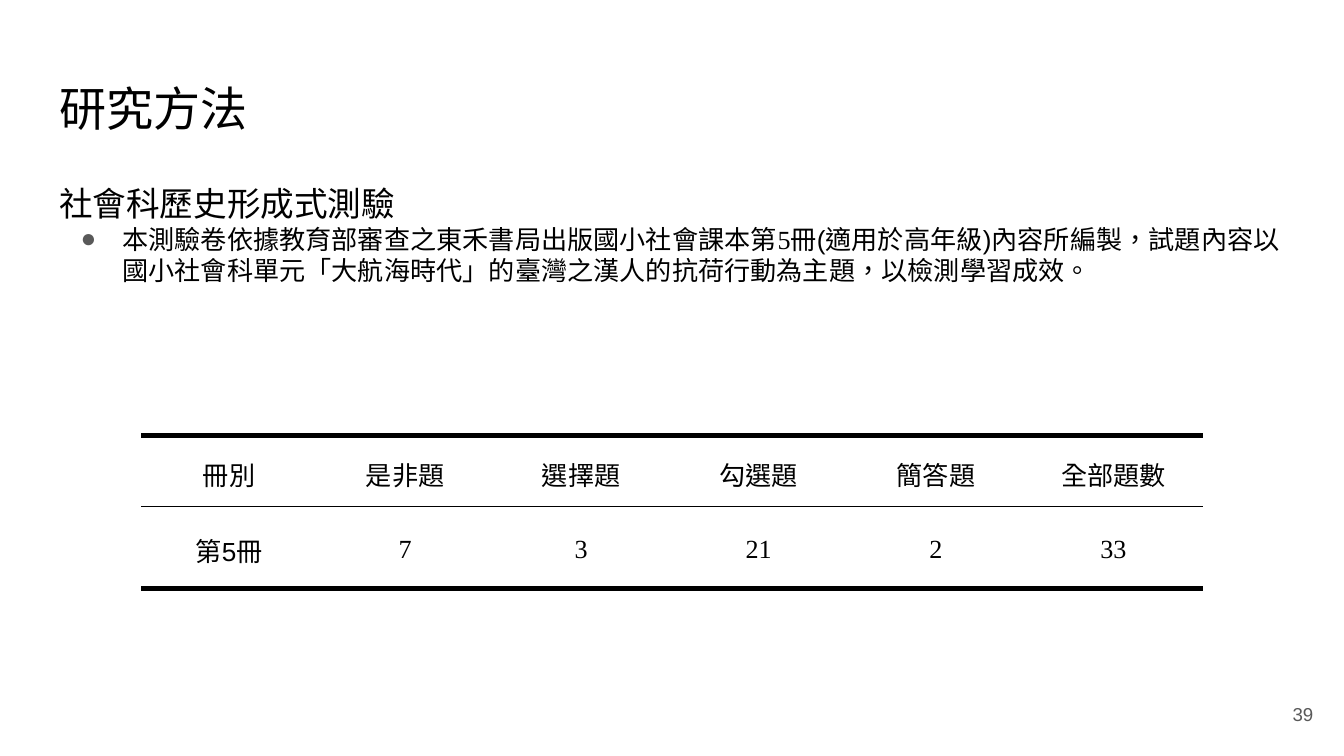
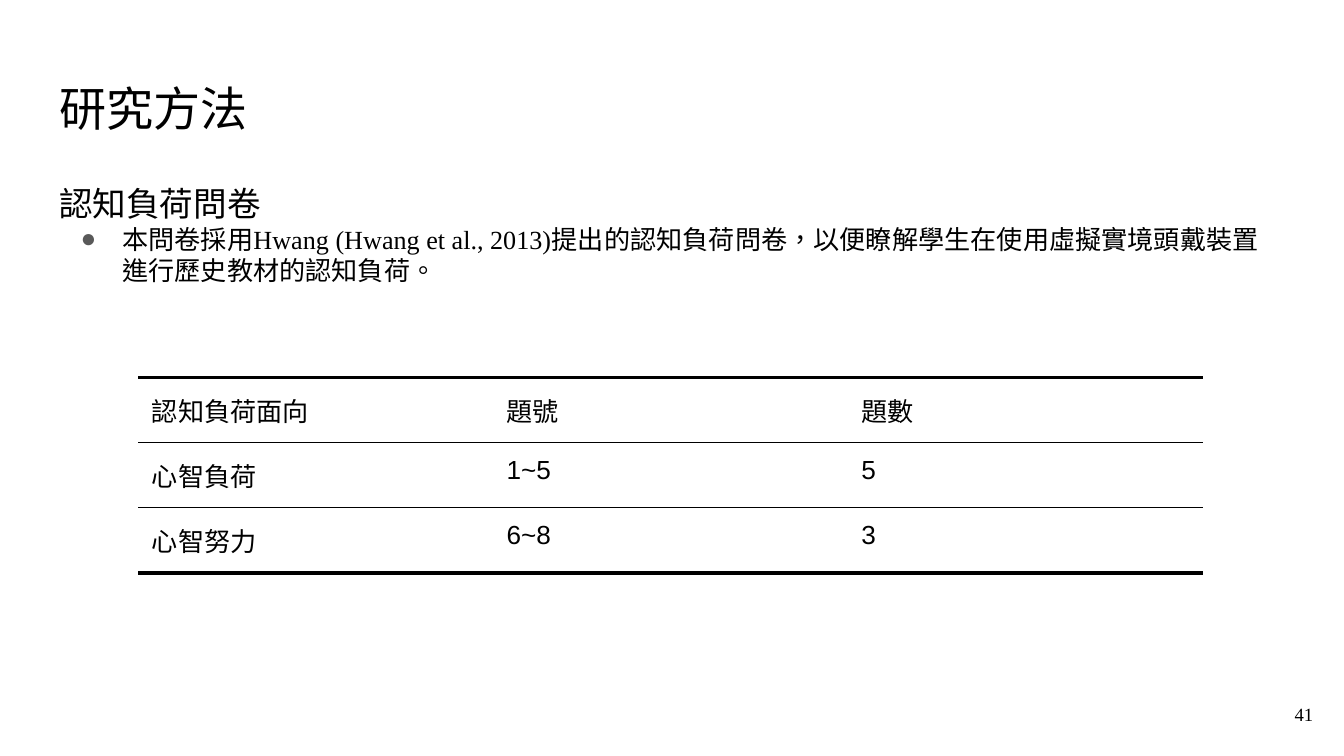
from lxml.etree import SubElement
from pptx import Presentation
from pptx.dml.color import RGBColor
from pptx.enum.text import MSO_ANCHOR, MSO_AUTO_SIZE, PP_ALIGN
from pptx.oxml.ns import qn
from pptx.util import Pt

PX = 9144  # 100 px to the inch
INSET = 10 * PX
COLORS = {"ink": "000000", "muted": "595959"}
ARIAL, TIMES = "Arial", "Times New Roman"

PAGES = [
    {
        "font": ARIAL, "number": "39", "number_color": "muted",
        "topic": "社會科歷史形成式測驗",
        "details": [
            ("本測驗卷依據教育部審查之東禾書局出版國小社會課本第", ARIAL),
            ("5", TIMES),
            ("冊(適用於高年級)內容所編製，試題內容以國小社會科單元「大航海時代」"
             "的臺灣之漢人的抗荷行動為主題，以檢測學習成效。", ARIAL),
        ],
        "body_box": (34, 126, 932, 374),
        "table_box": (105, 324, 790, 108),
        "columns": [131, 131, 131, 133, 131, 133], "rows": [39, 61],
        "cells": [["冊別", "是非題", "選擇題", "勾選題", "簡答題", "全部題數"],
                  ["第5冊", "7", "3", "21", "2", "33"]],
        "digit_font": TIMES, "side_inset": 7, "data_anchor": MSO_ANCHOR.MIDDLE,
        "cell_format": {"align": PP_ALIGN.CENTER, "line": 1.15, "gap": 12},
        "outer_rule": 3, "inner_rule": 0.6,
    },
    {
        "font": TIMES, "number": "41", "number_color": "ink",
        "topic": "認知負荷問卷",
        "details": [
            ("本問卷採用Hwang (Hwang et al., 2013)提出的認知負荷問卷，"
             "以便瞭解學生在使用虛擬實境頭戴裝置進行歷史教材的認知負荷。", TIMES),
        ],
        "body_box": (34, 126, 930, 114),
        "table_box": (103, 281, 792, 130),
        "columns": [264] * 3, "rows": [42] * 3,
        "cells": [["認知負荷面向", "題號", "題數"],
                  ["心智負荷", "1~5", "5"],
                  ["心智努力", "6~8", "3"]],
        "digit_font": ARIAL, "side_inset": 10, "data_anchor": MSO_ANCHOR.TOP,
        "cell_format": {},
        "outer_rule": 2.25, "inner_rule": 0.75,
    },
]


def write(paragraph, text, size=14, font=ARIAL, color="ink",
          align=PP_ALIGN.LEFT, line=1.0, gap=0):
    """Append a run to the paragraph and set the format of both."""
    paragraph.alignment = align
    paragraph.line_spacing = line
    paragraph.space_before = paragraph.space_after = Pt(gap)
    run = paragraph.add_run()
    run.text = text
    run.font.size = Pt(size)
    run.font.name = font
    run.font.color.rgb = RGBColor.from_string(COLORS[color])
    run._r.get_or_add_rPr().set("lang", "zh-TW")


def place(shape, box, anchor=MSO_ANCHOR.TOP):
    """Move a text shape to its box and return its frame, with even insets."""
    shape.left, shape.top, shape.width, shape.height = [n * PX for n in box]
    frame = shape.text_frame
    frame.word_wrap = True
    frame.auto_size = MSO_AUTO_SIZE.NONE
    frame.vertical_anchor = anchor
    frame.margin_left = frame.margin_right = INSET
    frame.margin_top = frame.margin_bottom = INSET
    return frame


prs = Presentation()
prs.slide_width = 1000 * PX
prs.slide_height = prs.slide_width * 9 // 16

for page in PAGES:
    slide = prs.slides.add_slide(prs.slide_layouts[1])
    font = page["font"]

    heading = place(slide.shapes.title, (34, 49, 716, 63))
    write(heading.paragraphs[0], "研究方法", size=25.2, font=font)

    page_number = place(slide.shapes.add_textbox(0, 0, 0, 0),
                        (927, 510, 60, 43), MSO_ANCHOR.MIDDLE)
    write(page_number.paragraphs[0], page["number"], size=10, font=font,
          color=page["number_color"], align=PP_ALIGN.RIGHT)

    body = place(slide.placeholders[1], page["body_box"])
    topic = body.paragraphs[0]
    write(topic, page["topic"], size=18, font=font)
    topic_props = topic._p.get_or_add_pPr()
    topic_props.set("marL", "0")
    topic_props.set("indent", "0")
    SubElement(topic_props, qn("a:buNone"))

    detail = body.add_paragraph()
    for text, run_font in page["details"]:
        write(detail, text, font=run_font)
    detail_props = detail._p.get_or_add_pPr()
    detail_props.set("marL", str(47 * PX))
    detail_props.set("indent", str(-31 * PX))
    bullet_color = SubElement(detail_props, qn("a:buClr"))
    SubElement(bullet_color, qn("a:srgbClr"), val=COLORS["muted"])
    SubElement(detail_props, qn("a:buFont"), typeface=ARIAL)
    SubElement(detail_props, qn("a:buChar"), char="●")

    cells = page["cells"]
    left, top, width, height = [n * PX for n in page["table_box"]]
    summary = slide.shapes.add_table(len(cells), len(cells[0]),
                                     left, top, width, height).table
    summary.first_row = summary.horz_banding = False
    for column, column_width in zip(summary.columns, page["columns"]):
        column.width = column_width * PX
    for row, row_height in zip(summary.rows, page["rows"]):
        row.height = row_height * PX

    last = len(cells) - 1
    for r, values in enumerate(cells):
        rules = {
            "lnL": 0, "lnR": 0,
            "lnT": page["outer_rule"] if r == 0 else page["inner_rule"],
            "lnB": page["outer_rule"] if r == last else page["inner_rule"],
        }
        for c, value in enumerate(values):
            cell = summary.cell(r, c)
            cell.margin_left = cell.margin_right = page["side_inset"] * PX
            cell.margin_top = cell.margin_bottom = INSET
            cell.vertical_anchor = page["data_anchor"] if r else MSO_ANCHOR.TOP
            cell_font = page["digit_font"] if value.isdigit() else ARIAL
            write(cell.text_frame.paragraphs[0], value, font=cell_font,
                  **page["cell_format"])
            cell_props = cell._tc.get_or_add_tcPr()
            for side, weight in rules.items():
                rule = SubElement(cell_props, qn(f"a:{side}"), w=str(Pt(weight)))
                if weight:
                    ink = SubElement(rule, qn("a:solidFill"))
                    SubElement(ink, qn("a:srgbClr"), val=COLORS["ink"])
                else:
                    SubElement(rule, qn("a:noFill"))
            cell.fill.background()

prs.save("out.pptx")
